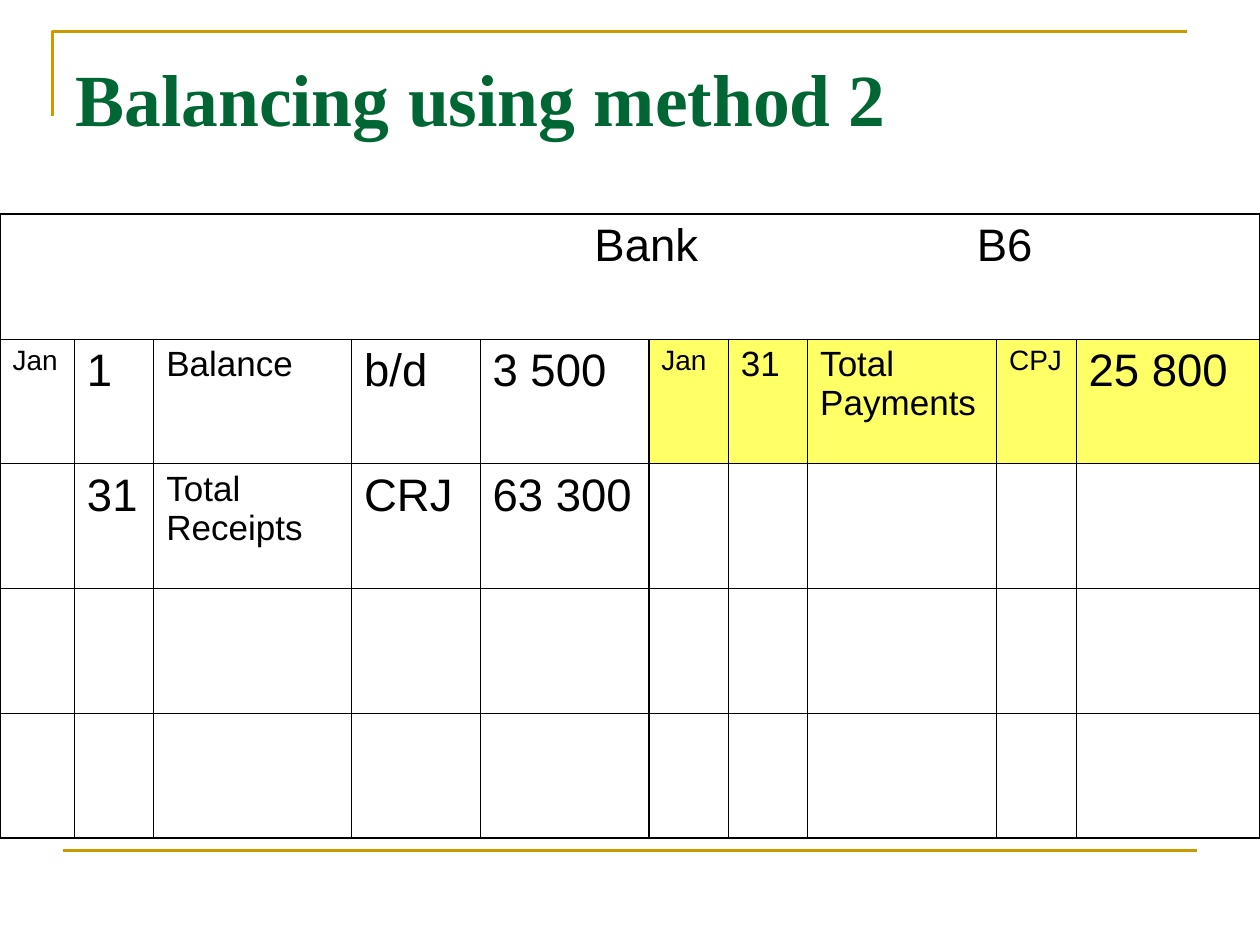
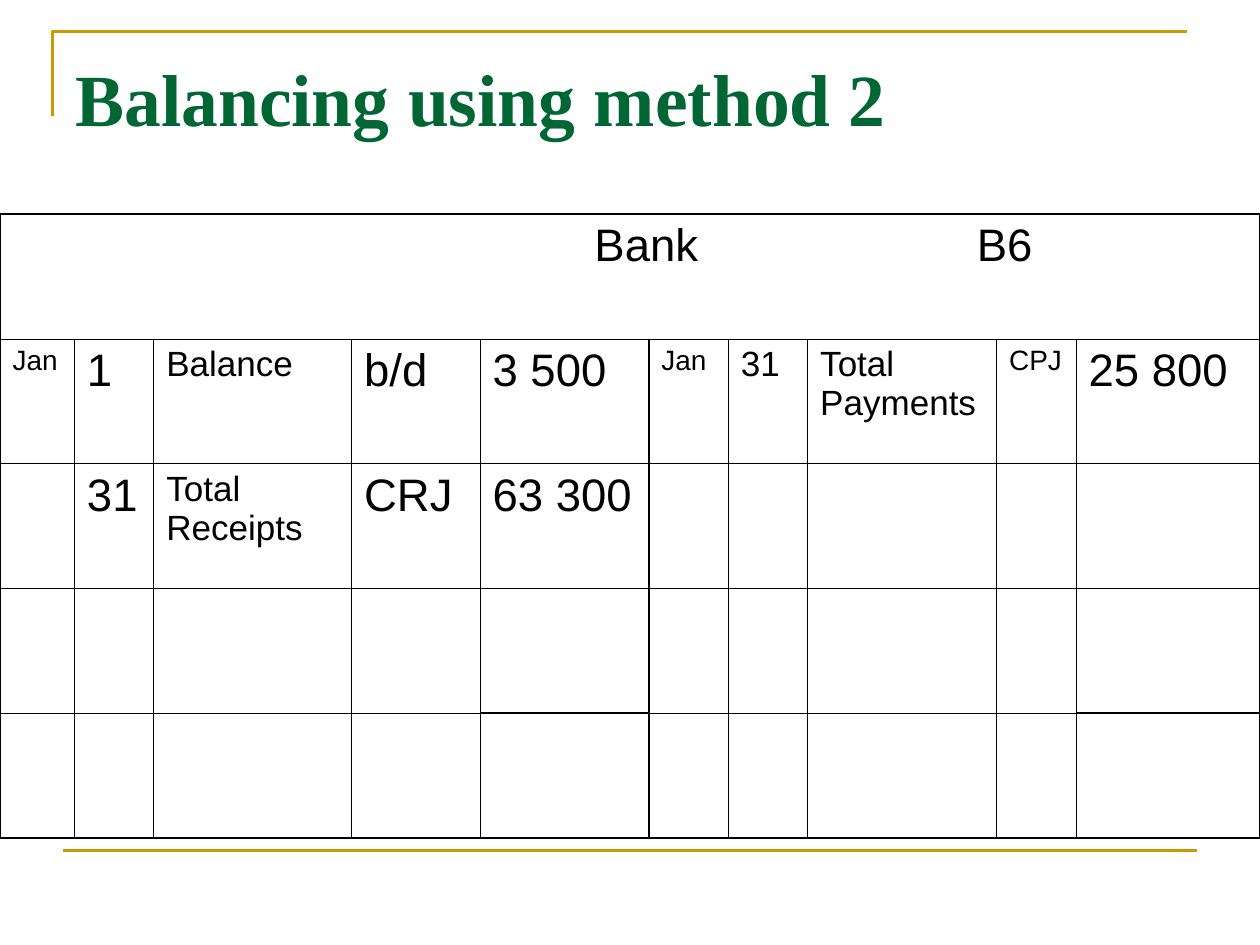
from dataclasses import dataclass
from typing import Any

from lxml import etree
from pptx import Presentation
from pptx.dml.color import RGBColor
from pptx.enum import shapes, text
from pptx.oxml import ns
from pptx.util import Pt

GREEN = RGBColor(0x00, 0x66, 0x33)
GOLD = RGBColor(0xCC, 0x99, 0x00)
BLACK = RGBColor(0x00, 0x00, 0x00)
WHITE = RGBColor(0xFF, 0xFF, 0xFF)
YELLOW = RGBColor(0xFF, 0xFF, 0x66)

THIN, EDGE, MID = 0.45, 1.08, 1.47
COLS = (42.5, 45.4, 113, 73.4, 96.5, 45.4, 45.4, 108, 45.4, 105)
ROWS = 5
HIGH = 71.3
HALF = 5
SUMS = (4, 9)
STOPS = (332.5, 551)


@dataclass(frozen=True)
class Entry:
    row: int
    col: int
    words: str
    size: float = 26


@dataclass(frozen=True)
class Ledger:
    title: str
    paid: RGBColor
    totals: bool


ENTRIES = (
    Entry(0, 0, "\tBank\tB6"),
    Entry(1, 0, "Jan", 16),
    Entry(1, 1, "1"),
    Entry(1, 2, "Balance", 20),
    Entry(1, 3, "b/d"),
    Entry(1, 4, "3 500"),
    Entry(1, 5, "Jan", 16),
    Entry(1, 6, "31", 20),
    Entry(1, 7, "Total Payments", 20),
    Entry(1, 8, "CPJ", 16),
    Entry(1, 9, "25 800"),
    Entry(2, 1, "31"),
    Entry(2, 2, "Total Receipts", 20),
    Entry(2, 3, "CRJ"),
    Entry(2, 4, "63 300"),
)

LEDGERS = (
    Ledger("Balancing using method 2", YELLOW, False),
    Ledger("Balancing using method 2", WHITE, True),
)


def add_run(para: Any, words: str, face: str, size: float,
            ink: RGBColor, bold: bool = False) -> None:
    run = para.add_run()
    run.text = words
    run.font.name = face
    run.font.size = Pt(size)
    run.font.bold = bold
    run.font.color.rgb = ink


def add_frame(slide: Any) -> None:
    build = slide.shapes.build_freeform(Pt(30.2), Pt(66.2), 1.0)
    build.add_line_segments(
        [(Pt(30.2), Pt(18)), (Pt(678.2), Pt(18))], close=False)
    angle = build.convert_to_shape()
    angle.shadow.inherit = False
    angle.fill.background()
    base = slide.shapes.add_connector(
        shapes.MSO_CONNECTOR.STRAIGHT, Pt(36), Pt(486), Pt(684), Pt(486))
    etree.SubElement(base._element.spPr, ns.qn("a:effectLst"))
    for mark in (angle, base):
        mark.line.color.rgb = GOLD
        mark.line.width = Pt(1.5)


def add_title(slide: Any, words: str) -> None:
    box = slide.shapes.add_textbox(Pt(36), Pt(21.6), Pt(648), Pt(90))
    frame = box.text_frame
    frame.word_wrap = True
    frame.vertical_anchor = text.MSO_ANCHOR.TOP
    frame.margin_top = Pt(8.8)
    add_run(frame.paragraphs[0], words, "Times New Roman", 42, GREEN, True)


def add_tabs(para: Any) -> None:
    tabs = etree.SubElement(para._p.get_or_add_pPr(), ns.qn("a:tabLst"))
    for stop in STOPS:
        etree.SubElement(tabs, ns.qn("a:tab"), pos=str(Pt(stop)), algn="l")


def set_side(cell: Any, side: str, width: float) -> None:
    props = cell._tc.get_or_add_tcPr()
    line = etree.SubElement(props, ns.qn(f"a:ln{side}"), w=str(Pt(width)))
    fill = etree.SubElement(line, ns.qn("a:solidFill"))
    etree.SubElement(fill, ns.qn("a:srgbClr"), val=str(BLACK))


def across(edge: int, col: int, totals: bool) -> float:
    double = totals and col in SUMS and edge in (3, 4)
    return EDGE if edge in (0, ROWS) or double else THIN


def down(edge: int) -> float:
    return {0: EDGE, HALF: MID, len(COLS): EDGE}.get(edge, THIN)


def add_ledger(slide: Any, ledger: Ledger) -> None:
    table = slide.shapes.add_table(
        ROWS, len(COLS), 0, Pt(122.4), Pt(sum(COLS)), Pt(ROWS * HIGH)).table
    table.first_row = table.horz_banding = False
    for column, width in zip(table.columns, COLS):
        column.width = Pt(width)
    for row in table.rows:
        row.height = Pt(HIGH)
    table.cell(0, 0).merge(table.cell(0, len(COLS) - 1))
    for row in range(ROWS):
        for col in range(len(COLS)):
            cell = table.cell(row, col)
            if cell.is_spanned:
                continue
            end = len(COLS) if cell.is_merge_origin else col + 1
            set_side(cell, "L", down(col))
            set_side(cell, "R", down(end))
            set_side(cell, "T", across(row, col, ledger.totals))
            set_side(cell, "B", across(row + 1, col, ledger.totals))
            cell.fill.solid()
            paid = row == 1 and col >= HALF
            cell.fill.fore_color.rgb = ledger.paid if paid else WHITE
    add_tabs(table.cell(0, 0).text_frame.paragraphs[0])
    for item in ENTRIES:
        para = table.cell(item.row, item.col).text_frame.paragraphs[0]
        add_run(para, item.words, "Arial", item.size, BLACK)


def main() -> None:
    deck = Presentation()
    deck.slide_width, deck.slide_height = Pt(720), Pt(540)
    for ledger in LEDGERS:
        slide = deck.slides.add_slide(deck.slide_layouts[6])
        add_frame(slide)
        add_title(slide, ledger.title)
        add_ledger(slide, ledger)
    deck.save("out.pptx")


if __name__ == "__main__":
    main()
